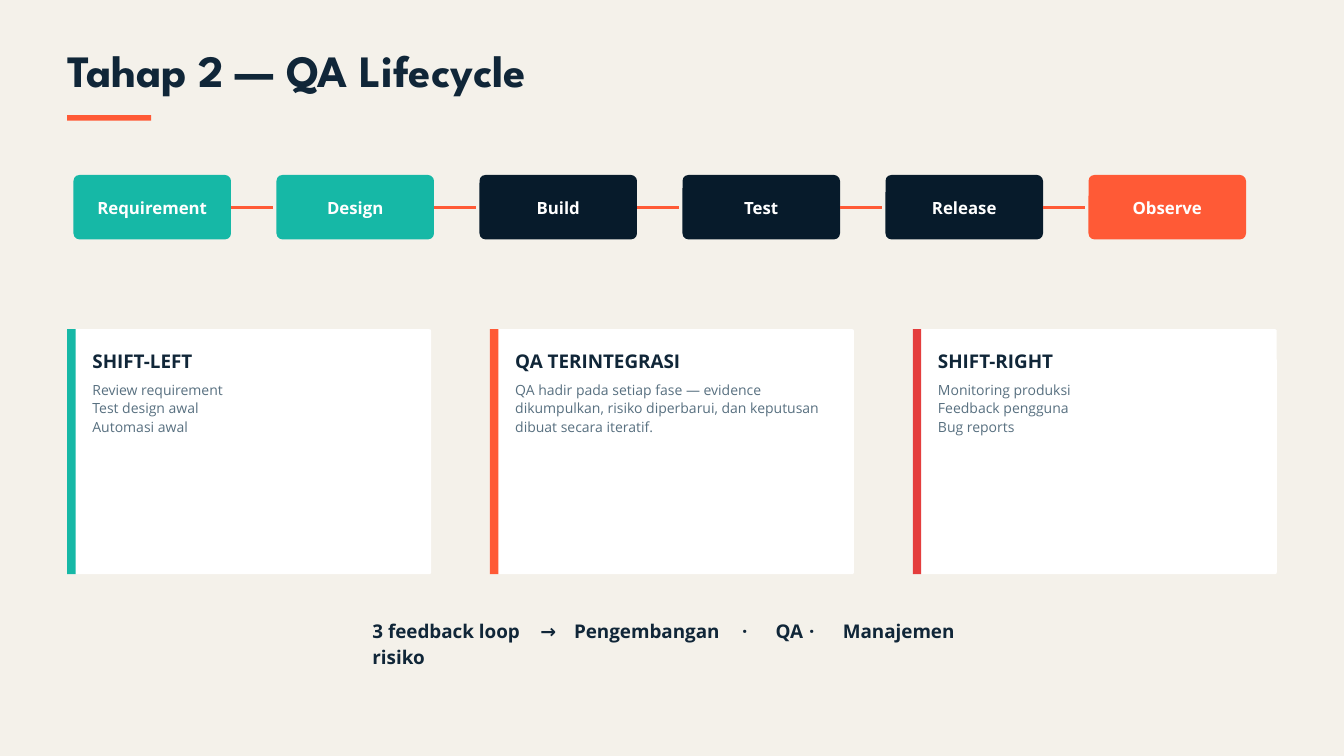
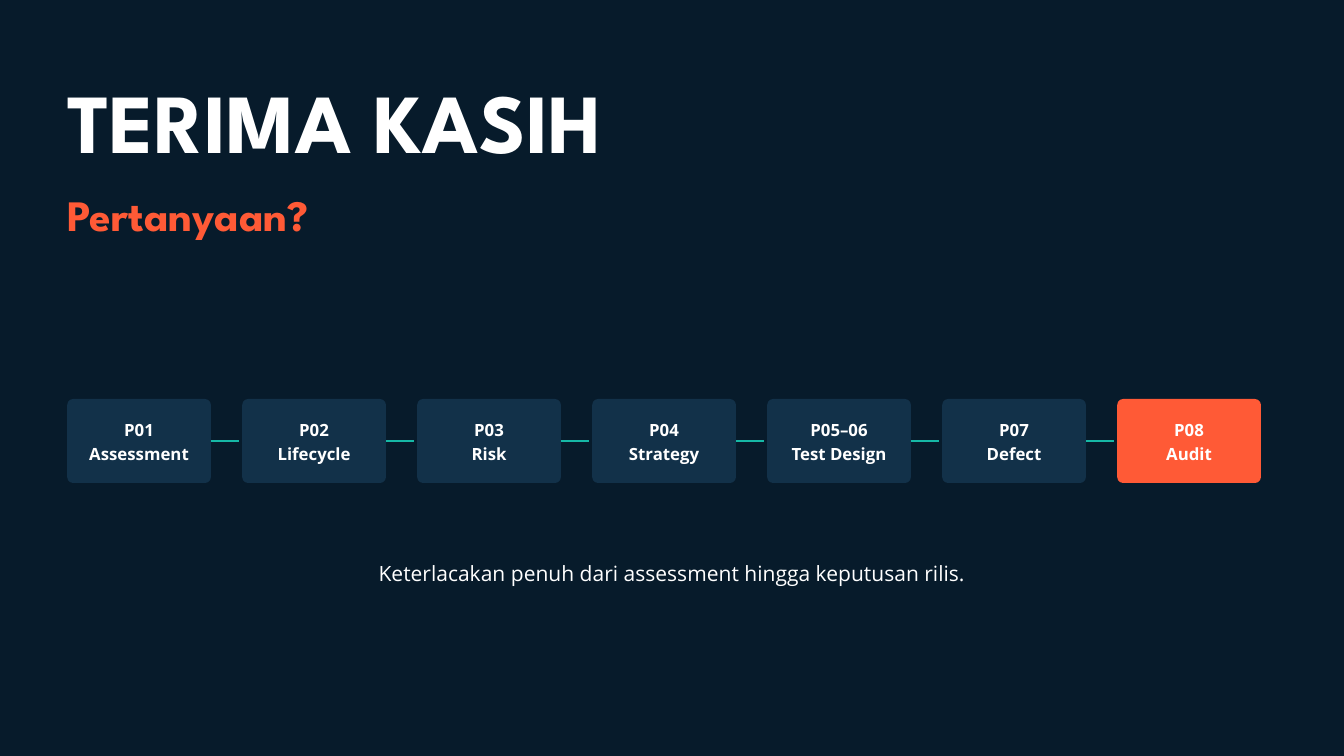
from lxml import etree
from pptx import Presentation
from pptx.dml.color import RGBColor
from pptx.enum.shapes import MSO_CONNECTOR, MSO_SHAPE
from pptx.enum.text import MSO_ANCHOR, MSO_AUTO_SIZE, PP_ALIGN
from pptx.oxml.ns import qn
from pptx.util import Pt

LEFT, CENTER = PP_ALIGN.LEFT, PP_ALIGN.CENTER
MIDDLE = MSO_ANCHOR.MIDDLE
GROW = MSO_AUTO_SIZE.SHAPE_TO_FIT_TEXT
RECT, ROUND = MSO_SHAPE.RECTANGLE, MSO_SHAPE.ROUNDED_RECTANGLE
STRAIGHT = MSO_CONNECTOR.STRAIGHT

HEAD, BODY = "League Spartan", "Open Sans"
MARGIN = 72
COLORS = {
    "paper": "F4F1EA",
    "night": "071B2B",
    "ink": "102638",
    "slate": "587080",
    "steel": "123149",
    "white": "FFFFFF",
    "teal": "16B8A6",
    "orange": "FF5A36",
    "red": "E43D3D",
}


def color(name):
    return RGBColor.from_string(COLORS[name])


def new_slide(deck, ground):
    slide = deck.slides.add_slide(deck.slide_layouts[6])
    fill = slide.background.fill
    fill.solid()
    fill.fore_color.rgb = color(ground)
    return slide


def write(frame, text, size, lead, tone, font=BODY, bold=True, align=LEFT):
    frame.text = text
    frame.word_wrap = True
    for para in frame.paragraphs:
        para.alignment = align
        para.line_spacing = Pt(lead)
        for run in para.runs:
            run.font.name = font
            run.font.size = Pt(size)
            run.font.bold = bold
            run.font.color.rgb = color(tone)


def add_text(slide, box, text, size, lead, tone, **style):
    frame = slide.shapes.add_textbox(*map(Pt, box)).text_frame
    frame.margin_left = frame.margin_right = 0
    frame.margin_top = frame.margin_bottom = 0
    write(frame, text, size, lead, tone, **style)
    frame.auto_size = GROW
    return frame


def add_block(slide, box, tone, radius=0):
    shape = slide.shapes.add_shape(ROUND if radius else RECT, *map(Pt, box))
    shape.shadow.inherit = False
    shape.fill.solid()
    shape.fill.fore_color.rgb = color(tone)
    shape.line.fill.background()
    if radius:
        shape.adjustments[0] = radius / min(box[2:])
    return shape


def add_link(slide, step, start, y, length, tone):
    link = slide.shapes.add_connector(
        STRAIGHT, Pt(start), Pt(y), Pt(start + length), Pt(y))
    link.begin_connect(step, 3)
    link.line.color.rgb = color(tone)
    link.line.width = Pt(3)
    etree.SubElement(link.element.spPr, qn("a:effectLst"))


def add_flow(slide, box, pitch, length, tone, steps):
    left, top, width, height = box
    for i, (text, fill) in enumerate(steps):
        x = left + i * pitch
        step = add_block(slide, (x, top, width, height), fill, 6.4)
        frame = step.text_frame
        frame.margin_left = frame.margin_right = frame.margin_top = Pt(4.5)
        frame.margin_bottom = Pt(6)
        frame.vertical_anchor = MIDDLE
        write(frame, text, 18, 25.2, "white", align=CENTER)
        if i < len(steps) - 1:
            add_link(slide, step, x + width, top + height / 2, length, tone)


def add_card(slide, box, tone, title, body):
    left, top, width, height = box
    add_block(slide, box, "white", 2)
    add_block(slide, (left, top, 9, height), tone)
    add_text(slide, (left + 27, top + 18.75, 339, 26), title, 20.2, 27.3, "ink")
    add_text(slide, (left + 27, top + 54.75, 339, 58), body, 15, 19.5, "slate",
             bold=False)


def add_loop(slide, box, parts, stops):
    frame = add_text(slide, box, "", 20.2, 27.3, "ink")
    para = frame.paragraphs[0]
    tabs = etree.SubElement(para._p.get_or_add_pPr(), qn("a:tabLst"))
    for stop in stops:
        etree.SubElement(tabs, qn("a:tab"), pos=str(Pt(stop)), algn="l")
    write(frame, "\t".join(parts), 20.2, 27.3, "ink")


def lifecycle(deck):
    slide = new_slide(deck, "paper")
    add_text(slide, (MARGIN, 54.75, 1125, 50), "Tahap 2 — QA Lifecycle",
             48, 49, "ink", font=HEAD)
    add_block(slide, (MARGIN, 123.25, 90, 6), "orange")
    steps = [
        ("Requirement", "teal"),
        ("Design", "teal"),
        ("Build", "night"),
        ("Test", "night"),
        ("Release", "night"),
        ("Observe", "orange"),
    ]
    add_flow(slide, (78.75, 187.5, 168.75, 69), 217.5, 45, "orange", steps)
    cards = [
        ("teal", "SHIFT-LEFT",
         "Review requirement\nTest design awal\nAutomasi awal"),
        ("orange", "QA TERINTEGRASI",
         "QA hadir pada setiap fase — evidence dikumpulkan, risiko "
         "diperbarui, dan keputusan dibuat secara iteratif."),
        ("red", "SHIFT-RIGHT",
         "Monitoring produksi\nFeedback pengguna\nBug reports"),
    ]
    for i, card in enumerate(cards):
        add_card(slide, (MARGIN + i * 453, 352.75, 390, 262.5), *card)
    add_loop(slide, (399, 661, 660, 27),
             ["3 feedback loop", "→", "Pengembangan", "·", "QA", "·",
              "Manajemen risiko"],
             [170, 196, 369, 390.5, 436, 457])


def closing(deck):
    slide = new_slide(deck, "night")
    add_text(slide, (MARGIN, 90.75, 1125, 96), "TERIMA KASIH",
             90, 91.8, "white", font=HEAD)
    add_text(slide, (MARGIN, 210.25, 675, 50), "Pertanyaan?",
             46.5, 47.4, "orange", font=HEAD)
    names = [
        "P01\nAssessment",
        "P02\nLifecycle",
        "P03\nRisk",
        "P04\nStrategy",
        "P05–06\nTest Design",
        "P07\nDefect",
    ]
    steps = [(name, "steel") for name in names] + [("P08\nAudit", "orange")]
    add_flow(slide, (MARGIN, 427.5, 154, 90), 187.5, 30, "teal", steps)
    add_text(slide, (262.5, 597.5, 915, 29),
             "Keterlacakan penuh dari assessment hingga keputusan rilis.",
             22.5, 30.4, "white", bold=False, align=CENTER)


def main():
    deck = Presentation()
    deck.slide_width, deck.slide_height = Pt(1440), Pt(810)
    lifecycle(deck)
    closing(deck)
    deck.save("out.pptx")


if __name__ == "__main__":
    main()
